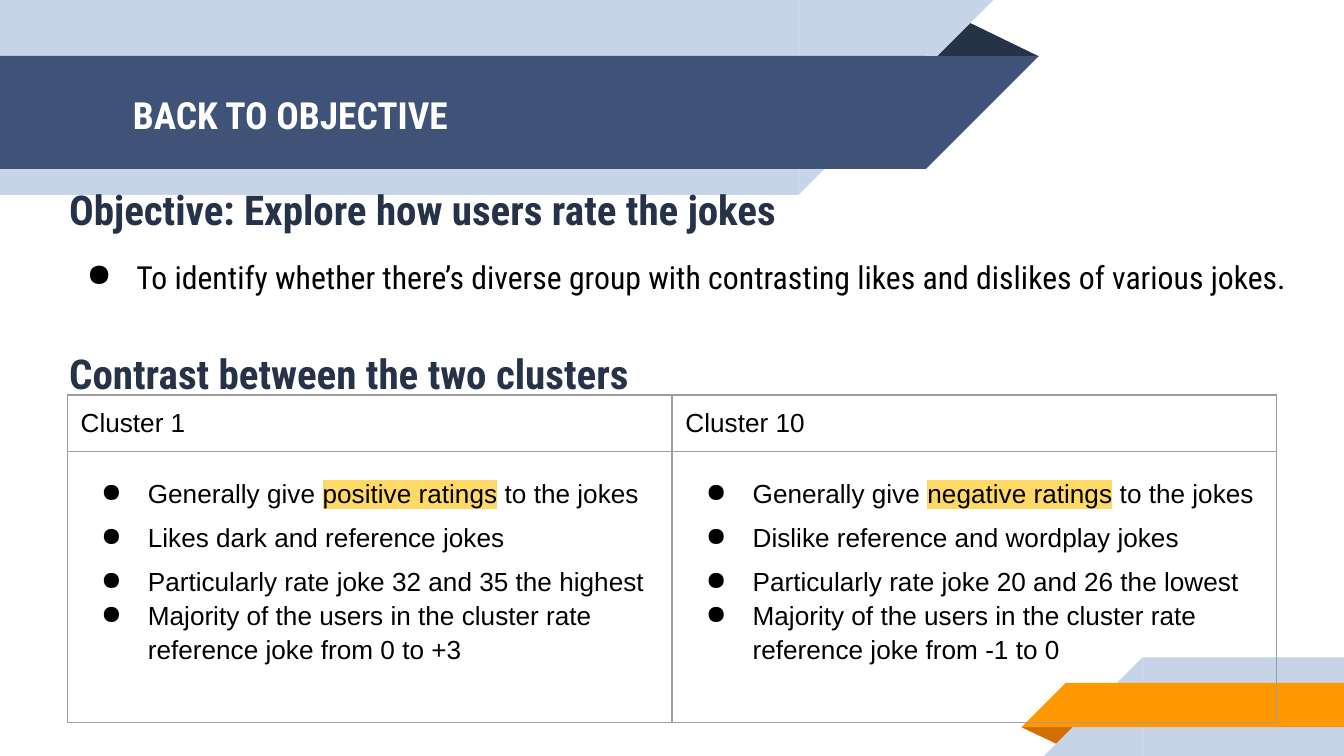
import pptx
import pptx.util
import pptx.dml.color
import pptx.enum.shapes
import pptx.enum.text
import pptx.oxml
import pptx.oxml.ns
import lxml.etree

Pt = pptx.util.Pt
RGB = pptx.dml.color.RGBColor
SHAPE = pptx.enum.shapes.MSO_SHAPE
ANCHOR = pptx.enum.text.MSO_ANCHOR
qn = pptx.oxml.ns.qn

WHITE = RGB(255, 255, 255)
BLACK = RGB(0, 0, 0)
NAVY = RGB(0x26, 0x32, 0x48)
BLUE = RGB(0x3F, 0x53, 0x78)
PALE = RGB(0xC7, 0xD3, 0xE6)
ORANGE = RGB(0xFF, 0x98, 0x00)
BROWN = RGB(0xD2, 0x6F, 0x00)
YELLOW = RGB(0xFF, 0xD9, 0x66)
GREY = RGB(0x9E, 0x9E, 0x9E)
HEAD_FONT = "Roboto Condensed"

TITLE = "BACK TO OBJECTIVE"
OBJECTIVE = "Objective: Explore how users rate the jokes"
GOAL = ("To identify whether there’s diverse group with contrasting "
        "likes and dislikes of various jokes.")
CONTRAST = "Contrast between the two clusters"
CLUSTERS = [
    ("Cluster 1", [
        ("Generally give ", "positive ratings", " to the jokes"),
        ("Likes dark and reference jokes",),
        ("Particularly rate joke 32 and 35 the highest",),
        ("Majority of the users in the cluster rate reference joke from 0 to +3",)]),
    ("Cluster 10", [
        ("Generally give ", "negative ratings", " to the jokes"),
        ("Dislike reference and wordplay jokes",),
        ("Particularly rate joke 20 and 26 the lowest",),
        ("Majority of the users in the cluster rate reference joke from -1 to 0",)]),
]
SPACINGS = [1.5, 1.5, 1.5, 1.15]
COL_WIDTH = 324
ROW_HEIGHTS = [30.4, 145]


def add_text(p, text, size=14, font="Arial", color=BLACK, bold=False, highlight=None):
    r = p.add_run()
    r.text = text
    r.font.size = Pt(size)
    r.font.name = font
    r.font.bold = bold
    r.font.color.rgb = color
    if highlight is not None:
        fill = r.font._element.find(qn("a:solidFill"))
        hl = lxml.etree.Element(qn("a:highlight"))
        lxml.etree.SubElement(hl, qn("a:srgbClr")).set("val", str(highlight))
        fill.addnext(hl)


def add_bullet(p, indent):
    pPr = p._p.get_or_add_pPr()
    pPr.set("marL", str(Pt(36)))
    pPr.set("indent", str(-Pt(indent)))
    clr = lxml.etree.SubElement(pPr, qn("a:buClr"))
    lxml.etree.SubElement(clr, qn("a:srgbClr")).set("val", str(BLACK))
    lxml.etree.SubElement(pPr, qn("a:buChar")).set("char", "●")


def add_block(s, kind, box, color, rotation=0, flip=False):
    sp = s.shapes.add_shape(kind, *map(Pt, box))
    sp.shadow.inherit = False
    sp.fill.solid()
    sp.fill.fore_color.rgb = color
    sp.line.fill.background()
    sp.rotation = rotation
    if flip:
        sp._element.spPr.get_or_add_xfrm().set("flipH", "1")
    return sp


def add_left_band(s, top, body, height, color):
    add_block(s, SHAPE.RECTANGLE, (0, top, body, height), color)
    add_block(s, SHAPE.RIGHT_TRIANGLE, (body, top, height, height), color, 180, True)


def add_right_band(s, top, left, height, color):
    add_block(s, SHAPE.RECTANGLE, (left, top, 720 - left, height), color)
    add_block(s, SHAPE.RIGHT_TRIANGLE, (left - height, top, height, height), color, 0, True)


def add_fold(s, box, color, rotation=0):
    sp = add_block(s, SHAPE.ISOSCELES_TRIANGLE, box, color, rotation)
    sp.adjustments[0] = 0.32


def set_frame(tf):
    tf.word_wrap = True
    tf.auto_size = pptx.enum.text.MSO_AUTO_SIZE.NONE
    tf.margin_left = tf.margin_right = tf.margin_top = tf.margin_bottom = Pt(7.2)


def add_box(s, box):
    tf = s.shapes.add_textbox(*map(Pt, box)).text_frame
    set_frame(tf)
    return tf


def format_cell(cell):
    cell.fill.background()
    cell.margin_left = cell.margin_right = Pt(7.2)
    cell.margin_top = cell.margin_bottom = Pt(7.2)
    tcPr = cell._tc.get_or_add_tcPr()
    for i, side in enumerate(("lnL", "lnR", "lnT", "lnB")):
        ln = lxml.etree.Element(qn("a:" + side), w=str(Pt(0.75)))
        fill = lxml.etree.SubElement(ln, qn("a:solidFill"))
        lxml.etree.SubElement(fill, qn("a:srgbClr")).set("val", str(GREY))
        tcPr.insert(i, ln)


def add_clusters(s):
    frame = s.shapes.add_table(2, len(CLUSTERS), Pt(36), Pt(211.6),
                               Pt(COL_WIDTH * len(CLUSTERS)), Pt(sum(ROW_HEIGHTS)))
    table = frame.table
    table.first_row = table.horz_banding = False
    for row, height in zip(table.rows, ROW_HEIGHTS):
        row.height = Pt(height)
    for col, (name, points) in enumerate(CLUSTERS):
        table.columns[col].width = Pt(COL_WIDTH)
        head, body = table.cell(0, col), table.cell(1, col)
        format_cell(head)
        format_cell(body)
        add_text(head.text_frame.paragraphs[0], name)
        tf = body.text_frame
        for i, (parts, spacing) in enumerate(zip(points, SPACINGS)):
            p = tf.add_paragraph() if i else tf.paragraphs[0]
            add_bullet(p, 25)
            p.line_spacing = spacing
            for j, part in enumerate(parts):
                add_text(p, part, highlight=YELLOW if j == 1 else None)


def main():
    prs = pptx.Presentation()
    prs.slide_width, prs.slide_height = Pt(720), Pt(405)
    s = prs.slides.add_slide(prs.slide_layouts[5])

    add_fold(s, (495.4, 10, 61.2, 20.2), NAVY)
    add_left_band(s, 0, 427.7, 104.4, PALE)
    add_left_band(s, 30, 496, 60.5, BLUE)
    add_fold(s, (547.2, 389.6, 31, 10), BROWN, 180)
    add_right_band(s, 352.2, 612, 52.8, PALE)
    add_right_band(s, 365.8, 571, 23.8, ORANGE)

    title = s.shapes.title
    s.shapes._spTree.append(title._element)
    title.left, title.top, title.width, title.height = map(Pt, (64, 31, 432.8, 60.5))
    tf = title.text_frame
    set_frame(tf)
    tf.vertical_anchor = ANCHOR.MIDDLE
    p = tf.paragraphs[0]
    p.alignment = pptx.enum.text.PP_ALIGN.LEFT
    add_text(p, TITLE, size=20, font=HEAD_FONT, color=WHITE, bold=True)

    tf = add_box(s, (30, 91.4, 695, 86.4))
    add_text(tf.paragraphs[0], OBJECTIVE, size=22, font=HEAD_FONT, color=NAVY, bold=True)
    p = tf.add_paragraph()
    add_bullet(p, 26.6)
    p.line_spacing = 1.15
    p.space_before = Pt(10)
    add_text(p, GOAL, size=17, font=HEAD_FONT)

    p = add_box(s, (30, 166.3, 708, 38.9)).paragraphs[0]
    p.line_spacing = 1.5
    add_text(p, CONTRAST, size=22, font=HEAD_FONT, color=NAVY, bold=True)

    add_clusters(s)
    prs.save("out.pptx")


if __name__ == "__main__":
    main()
